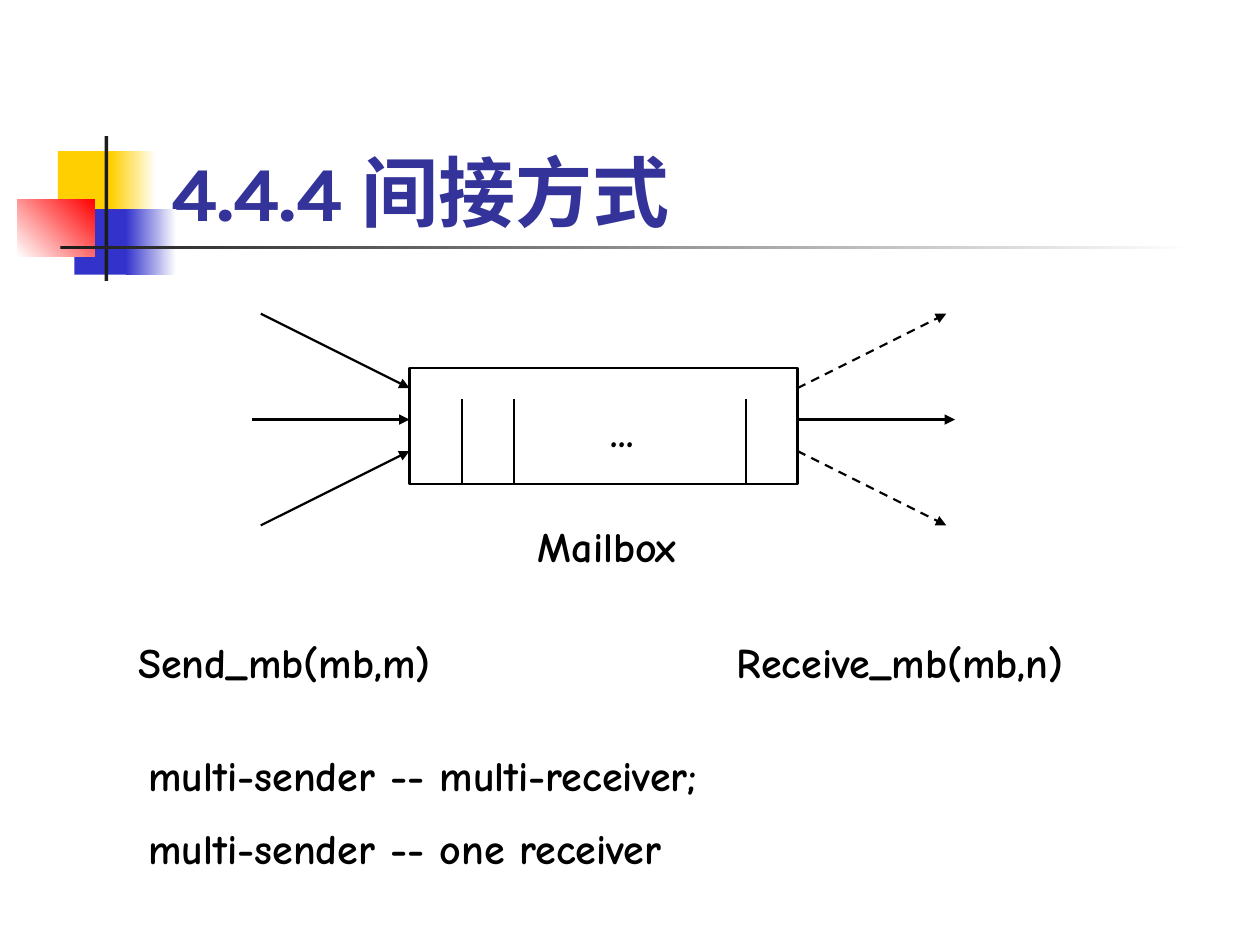
from lxml import etree
from pptx import Presentation
from pptx.dml.color import RGBColor
from pptx.enum.dml import MSO_LINE
from pptx.enum.shapes import MSO_CONNECTOR, MSO_SHAPE
from pptx.enum.text import MSO_ANCHOR, PP_ALIGN
from pptx.oxml.ns import qn
from pptx.util import Inches, Pt

RECTANGLE = MSO_SHAPE.RECTANGLE
STRAIGHT = MSO_CONNECTOR.STRAIGHT
DASH = MSO_LINE.DASH
TOP, BOTTOM = MSO_ANCHOR.TOP, MSO_ANCHOR.BOTTOM
LEFT = PP_ALIGN.LEFT

COLORS = {
    "white": "FFFFFF",
    "black": "000000",
    "yellow": "FFCF01",
    "blue": "3333CC",
    "red": "FF0000",
    "bar": "1C1C1C",
    "title": "333399",
}
TITLE_FONT, BODY_FONT = "Karla", "Comic Neue"
LINE_WIDTH = Pt(1.25)


def color(name):
    return RGBColor.from_string(COLORS[name])


def add_rectangle(page, box, fill, fade_to=None, angle=0, line=None):
    shape = page.shapes.add_shape(RECTANGLE, *map(Inches, box))
    shape.shadow.inherit = False
    if fade_to:
        shape.fill.gradient()
        shape.fill.gradient_angle = angle
        for stop, name in zip(shape.fill.gradient_stops, (fill, fade_to)):
            stop.color.rgb = color(name)
    else:
        shape.fill.solid()
        shape.fill.fore_color.rgb = color(fill)
    if line:
        shape.line.color.rgb = color(line)
        shape.line.width = LINE_WIDTH
    else:
        shape.line.fill.background()
    return shape


def add_line(page, start, end, arrow=False, dashed=False):
    line = page.shapes.add_connector(STRAIGHT, *map(Inches, (*start, *end)))
    line.line.color.rgb = color("black")
    line.line.width = LINE_WIDTH
    if dashed:
        line.line.dash_style = DASH
    if arrow:
        etree.SubElement(line.line._get_or_add_ln(), qn("a:tailEnd"), type="triangle")
    etree.SubElement(line._element.spPr, qn("a:effectLst"))


def write_text(shape, text, size=24, font=BODY_FONT, ink="black", anchor=TOP, gap=12):
    frame = shape.text_frame
    frame.word_wrap = True
    frame.vertical_anchor = anchor
    for index, words in enumerate(text.split("\n")):
        para = frame.paragraphs[0] if index == 0 else frame.add_paragraph()
        para.alignment = LEFT
        para.space_before = Pt(gap if index else 0)
        span = para.add_run()
        span.text = words
        span.font.name = font
        span.font.size = Pt(size)
        span.font.bold = True
        span.font.color.rgb = color(ink)


def add_text(page, box, text, **text_format):
    write_text(page.shapes.add_textbox(*map(Inches, box)), text, **text_format)


def add_ornament(page, left, top):
    """Coloured squares and crossed bars beside the title."""
    add_rectangle(page, (left + 0.32, top + 0.12, 0.48, 0.52), "yellow")
    add_rectangle(page, (left + 0.74, top + 0.12, 0.36, 0.52), "yellow", "white")
    add_rectangle(page, (left + 0.45, top + 0.58, 0.46, 0.52), "blue")
    add_rectangle(page, (left + 0.86, top + 0.58, 0.4, 0.52), "blue", "white")
    add_rectangle(page, (left, top + 0.5, 0.61, 0.46), "white", "red", angle=45)
    add_rectangle(page, (left + 0.69, top, 0.03, 1.15), "bar")
    add_rectangle(page, (left + 0.34, top + 0.87, 9, 0.03), "bar", "white")


def add_title(page, box, text):
    title = page.shapes.title
    title.left, title.top, title.width, title.height = map(Inches, box)
    write_text(title, text, size=44, font=TITLE_FONT, ink="title", anchor=BOTTOM)


def add_mailbox(page, left, top, width, height):
    """Message queue with three senders on the left and three receivers on the right."""
    add_rectangle(page, (left, top, width, height), "white", line="black")
    right, bottom, middle = left + width, top + height, top + 0.41

    # Arrows: the outer ones slant, the middle one is level and longer
    for side in (-1, 0, 1):
        reach = 1.18 if side else 1.25
        port = middle + side * 0.25
        far = middle + side * 0.84
        add_line(page, (left - reach, far), (left, port), arrow=True)
        add_line(page, (right, port), (right + reach, far), arrow=True, dashed=side != 0)

    # Slot dividers
    for x in (left + 0.42, left + 0.83, right - 0.41):
        add_line(page, (x, top + 0.25), (x, bottom))

    dots = add_rectangle(page, (left + 1.5, top + 0.25, 0.5, 0.5), "white")
    write_text(dots, "...")
    add_text(page, (left + 0.92, bottom + 0.24, 1.58, 0.5), "Mailbox")


def add_notes_area(page, left, top):
    """Primitives of the two sides, then the allowed pairings."""
    add_text(page, (left, top, 3.25, 0.5), "Send_mb(mb,m)")
    add_text(page, (left + 4.75, top, 3.42, 0.5), "Receive_mb(mb,n)")
    add_text(page, (left + 0.08, top + 0.9, 7.58, 1.1),
             "multi-sender -- multi-receiver;\nmulti-sender -- one receiver", gap=13)


def main():
    deck = Presentation()
    deck.slide_width, deck.slide_height = Inches(10), Inches(7.5)
    page = deck.slides.add_slide(deck.slide_layouts[5])
    add_ornament(page, 0.14, 1.08)
    add_title(page, (1.26, 0.68, 8.52, 1.25), "4.4.4 间接方式")
    add_mailbox(page, 3.25, 2.92, 3.08, 0.92)
    add_notes_area(page, 1, 5)
    deck.save("out.pptx")


if __name__ == "__main__":
    main()
